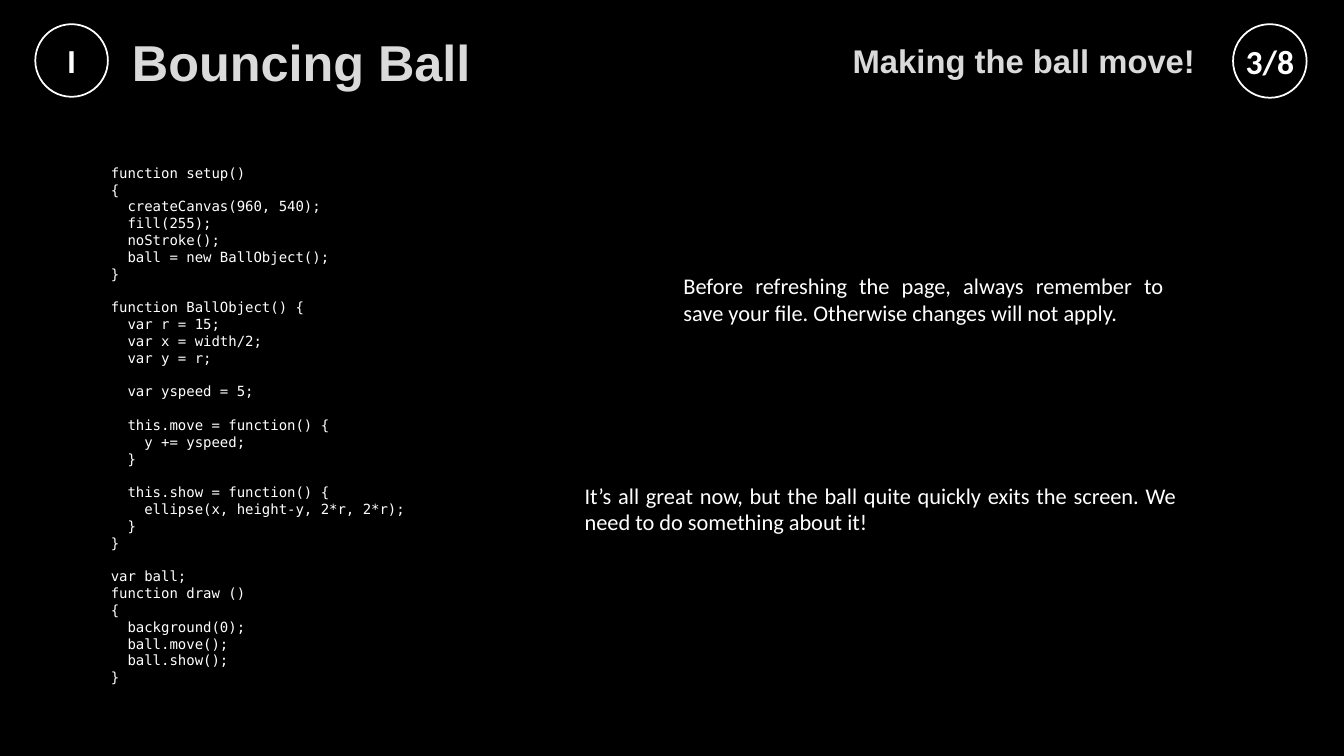
from lxml import etree
from pptx import Presentation
from pptx.dml.color import RGBColor
from pptx.enum.shapes import MSO_SHAPE as SHAPE
from pptx.enum.text import MSO_ANCHOR as ANCHOR, MSO_AUTO_SIZE as AUTO, PP_ALIGN as ALIGN
from pptx.oxml import parse_xml
from pptx.oxml.ns import nsdecls
from pptx.util import Inches, Pt

WHITE, GREY = "FFFFFF", "DADADA"
CODE_LINE = Pt(12)
OUTLINE = (f'<a:ln {nsdecls("a")} w="9525"><a:solidFill><a:srgbClr val="404040">'
           '<a:alpha val="10000"/></a:srgbClr></a:solidFill><a:prstDash val="solid"/></a:ln>')

CODE = """function setup()
{
  createCanvas(960, 540);
  fill(255);
  noStroke();
  ball = new BallObject();
}

function BallObject() {
  var r = 15;
  var x = width/2;
  var y = r;

  var yspeed = 5;

  this.move = function() {
    y += yspeed;
  }

  this.show = function() {
    ellipse(x, height-y, 2*r, 2*r);
  }
}

var ball;
function draw ()
{
  background(0);
  ball.move();
  ball.show();
}"""


def rgb(value):
    return RGBColor.from_string(value)


def add_run(p, text, size, font, color=WHITE, bold=False):
    r = p.add_run()
    r.text = text
    r.font.size = Pt(size)
    r.font.name = font
    r.font.bold = bold
    r.font.color.rgb = rgb(color)
    return r


prs = Presentation()
prs.slide_width, prs.slide_height = Inches(13.33), Inches(7.5)
s = prs.slides.add_slide(prs.slide_layouts[6])
s.background.fill.solid()
s.background.fill.fore_color.rgb = rgb("000000")

# Headings
for text, box, size, align in [
    ("Bouncing Ball", (1.21, 0.34, 10.32, 0.53), 36, ALIGN.LEFT),
    ("Making the ball move!", (7.21, 0.16, 4.74, 0.88), 23.4, ALIGN.RIGHT),
]:
    tf = s.shapes.add_textbox(*map(Inches, box)).text_frame
    tf.word_wrap = True
    tf.vertical_anchor = ANCHOR.MIDDLE
    p = tf.paragraphs[0]
    p.alignment = align
    r = add_run(p, text, size, "Arial", GREY, bold=True)
    r.font.fill.solid()
    r.font.color.rgb = rgb(GREY)
    r.font._element.insert(0, parse_xml(OUTLINE))

# Chapter and page badges
for text, left, diameter in [("I", 0.35, 0.72), ("3/8", 12.23, 0.73)]:
    sp = s.shapes.add_shape(SHAPE.OVAL, Inches(left), Inches(0.24),
                            Inches(diameter), Inches(diameter))
    sp.shadow.inherit = False
    sp.fill.background()
    sp.line.color.rgb = rgb(WHITE)
    sp.line.width = Pt(1.25)
    tf = sp.text_frame
    tf.margin_left = tf.margin_top = tf.margin_right = tf.margin_bottom = 0
    tf.vertical_anchor = ANCHOR.MIDDLE
    p = tf.paragraphs[0]
    p.alignment = ALIGN.CENTER
    add_run(p, text, 24, "Calibri", bold=True)

# Code listing: each block after the first starts one line lower
tf = s.shapes.add_textbox(Inches(1), Inches(1.58), Inches(3.98), Inches(5.32)).text_frame
tf.word_wrap = True
tf.auto_size = AUTO.SHAPE_TO_FIT_TEXT
p = tf.paragraphs[0]
for b, block in enumerate(CODE.split("\n\n")):
    for i, line in enumerate(block.split("\n")):
        if b or i:
            p = tf.add_paragraph()
        if b and i == 0:
            p.space_before = CODE_LINE
        add_run(p, line, 10, "DejaVu Sans Mono")

# Remarks
for text, left, top, width in [
    ("Before refreshing the page, always remember to save your file. "
     "Otherwise changes will not apply.", 6.68, 2.65, 4.96),
    ("It’s all great now, but the ball quite quickly exits the screen. "
     "We need to do something about it!", 5.7, 4.73, 6.07),
]:
    tf = s.shapes.add_textbox(Inches(left), Inches(top), Inches(width), Inches(0.64)).text_frame
    tf.word_wrap = True
    tf.auto_size = AUTO.SHAPE_TO_FIT_TEXT
    p = tf.paragraphs[0]
    p.alignment = ALIGN.JUSTIFY
    add_run(p, text, 16, "Calibri")

prs.save("out.pptx")
